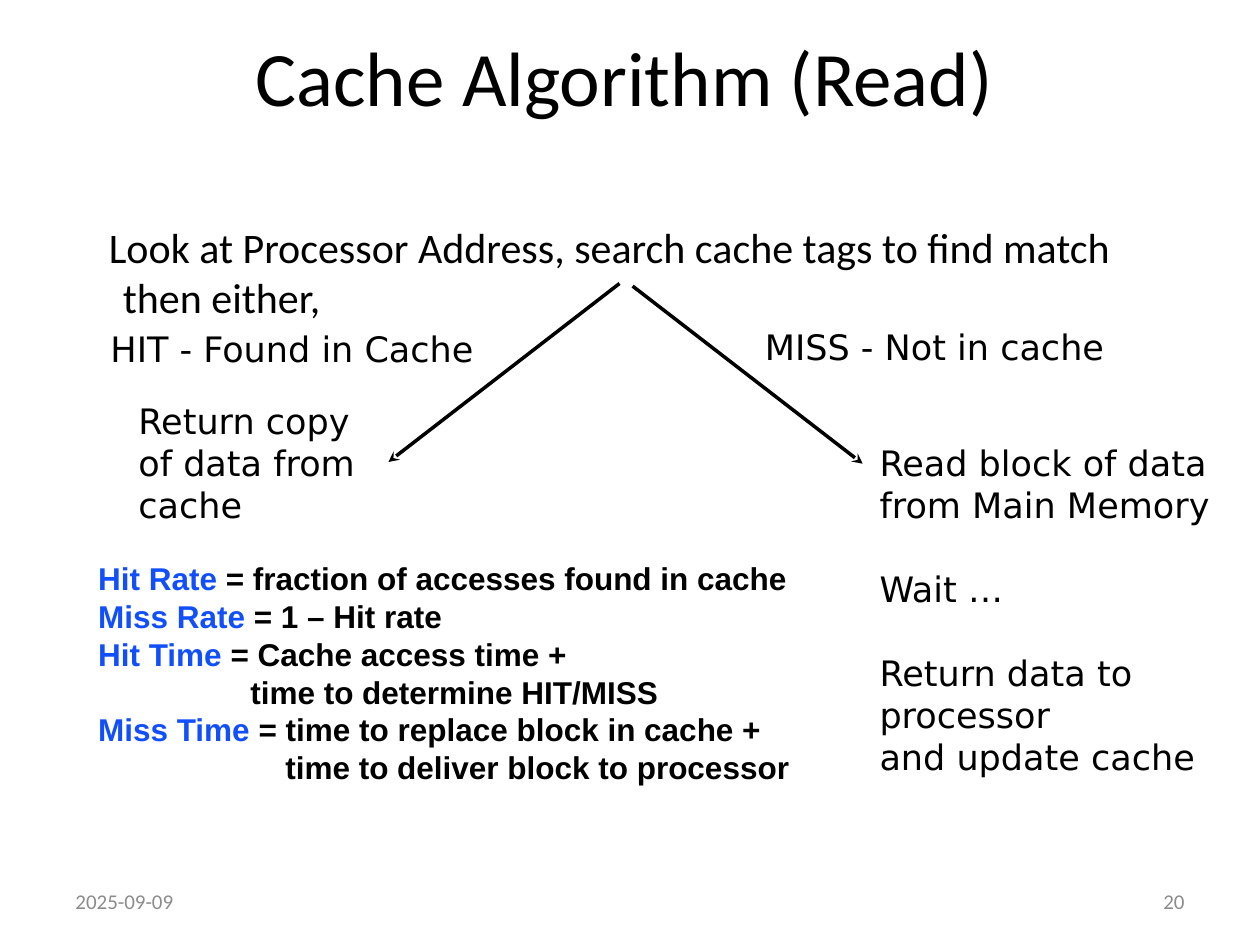
from dataclasses import dataclass
from lxml.etree import SubElement
from pptx import Presentation
from pptx.dml.color import RGBColor
from pptx.enum.shapes import MSO_CONNECTOR
from pptx.enum.text import MSO_ANCHOR, MSO_AUTO_SIZE, PP_ALIGN
from pptx.oxml.ns import qn
from pptx.util import Pt


@dataclass(frozen=True)
class Theme:
    ink: str = "000000"
    term: str = "114FFB"
    foot: str = "8C8C8C"
    head: str = "Calibri"
    step: str = "DejaVu Sans"
    note: str = "Arial"
    title: int = 44
    lead: int = 24
    flow: int = 20
    fact: int = 18
    small: int = 12
    line: int = 2


T = Theme()

TITLE = "Cache Algorithm (Read)"
LEAD = "Look at Processor Address, search cache tags to find match then either,"

# Box (left, top, width, height), lines, space before each line after the first
STEPS = [
    ((56, 183.5, 228, 55), ["HIT - Found in Cache"], 0),
    ((72, 224.5, 142, 79), ["Return copy", "of data from", "cache"], 0),
    ((430, 182.5, 215, 55), ["MISS - Not in cache"], 0),
    ((495.5, 248.5, 207, 199),
     ["Read block of data from Main Memory", "Wait …",
      "Return data to processor"], 24),
]
UPDATE = "and update cache"

# Term, meaning, left margin
FACTS = [
    ("Hit Rate", " = fraction of accesses found in cache", 0),
    ("Miss Rate", " = 1 – Hit rate", 0),
    ("Hit Time", " = Cache access time +", 0),
    ("", "time to determine HIT/MISS", 87),
    ("Miss Time", " = time to replace block in cache +", 0),
    ("", "time to deliver block to processor", 107),
]

# Start and end of each branch
ARROWS = [((354, 162), (222, 264)), ((361.5, 163.5), (493, 265))]

FOOT = [(36, "2025-09-09", PP_ALIGN.LEFT), (516, "20", PP_ALIGN.RIGHT)]


def place(shape, box):
    shape.left, shape.top, shape.width, shape.height = map(Pt, box)


def write(shape, text, size, font=T.head, color=T.ink, bold=False,
          align=PP_ALIGN.LEFT, gap=0, left=0, hang=0, anchor=MSO_ANCHOR.TOP):
    """Add one paragraph; text is a string or a list of (words, colour)."""
    frame = shape.text_frame
    frame.word_wrap = True
    frame.auto_size = MSO_AUTO_SIZE.NONE
    frame.vertical_anchor = anchor
    para = frame.paragraphs[0]
    if para.runs:
        para = frame.add_paragraph()
    props = para._p.get_or_add_pPr()
    props.set("marL", str(Pt(left)))
    props.set("indent", str(Pt(-hang)))
    SubElement(props, qn("a:buNone"))
    para.alignment = align
    para.space_before = Pt(gap)
    for words, tint in [(text, color)] if isinstance(text, str) else text:
        run = para.add_run()
        run.text = words
        run.font.name = font
        run.font.size = Pt(size)
        run.font.bold = bold
        run.font.color.rgb = RGBColor.from_string(tint)


def arrow(slide, start, end):
    link = slide.shapes.add_connector(
        MSO_CONNECTOR.STRAIGHT, *map(Pt, start + end))
    link.line.color.rgb = RGBColor.from_string(T.ink)
    link.line.width = Pt(T.line)
    SubElement(link.line._get_or_add_ln(), qn("a:tailEnd"), type="stealth")
    SubElement(link._element.spPr, qn("a:effectLst"))


def main():
    deck = Presentation()
    deck.slide_width, deck.slide_height = Pt(720), Pt(540)
    slide = deck.slides.add_slide(deck.slide_layouts[1])

    def area(box):
        return slide.shapes.add_textbox(*map(Pt, box))

    title, body = slide.placeholders
    place(title, (57.5, 27, 599, 32))
    write(title, TITLE, T.title, align=PP_ALIGN.CENTER,
          anchor=MSO_ANCHOR.MIDDLE)
    place(body, (36, 123, 648, 350))
    write(body, LEAD, T.lead, left=27, hang=8)

    for start, end in ARROWS:
        arrow(slide, start, end)

    for box, lines, gap in STEPS:
        step = area(box)
        for i, words in enumerate(lines):
            write(step, words, T.flow, font=T.step, gap=gap if i else 0)
    write(step, UPDATE, T.flow, font=T.step)

    facts = area((49, 316, 413, 138))
    for term, text, left in FACTS:
        runs = [(term, T.term)] if term else []
        write(facts, runs + [(text, T.ink)], T.fact, font=T.note,
              bold=True, left=left)

    for left, words, align in FOOT:
        write(area((left, 500.5, 168, 28.5)), words, T.small, color=T.foot,
              align=align, anchor=MSO_ANCHOR.MIDDLE)

    deck.save("out.pptx")


if __name__ == "__main__":
    main()
